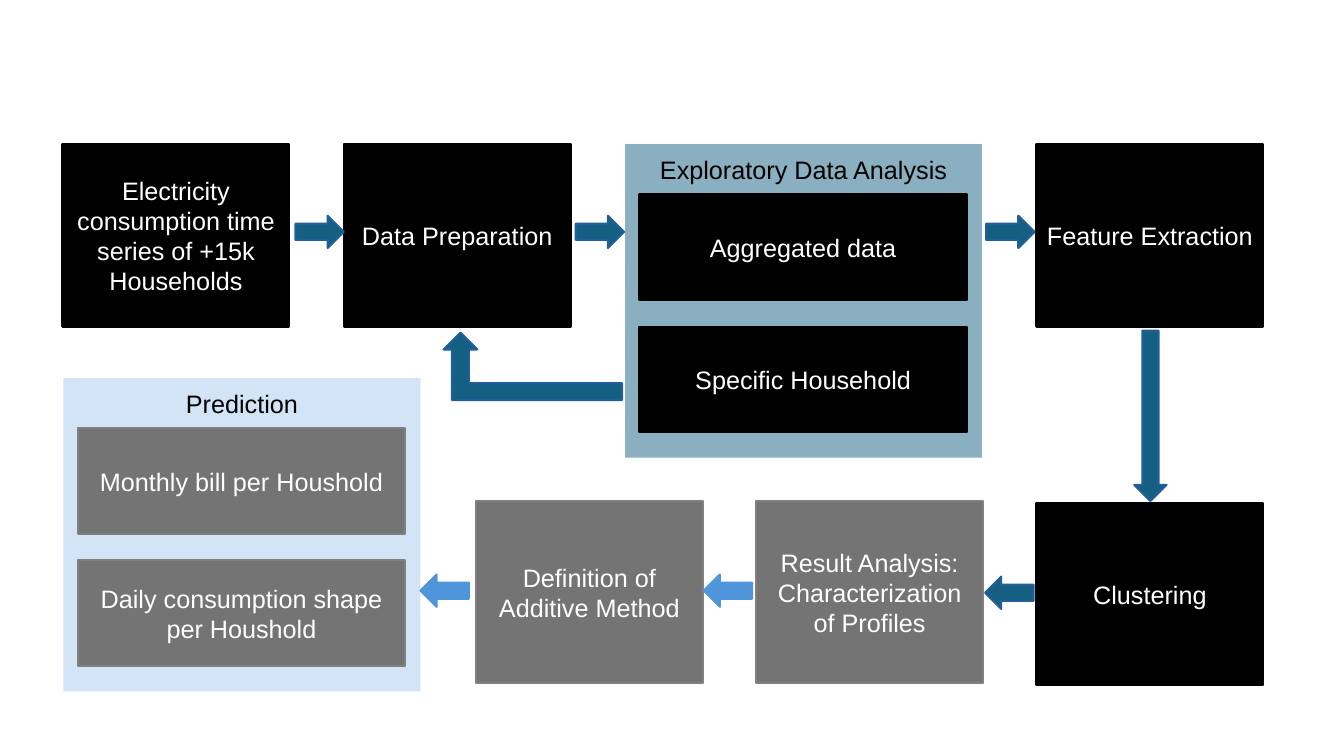
from lxml import etree
from pptx import Presentation
from pptx.dml.color import RGBColor
from pptx.enum import shapes, text
from pptx.oxml import ns
from pptx.util import Inches, Pt

BLACK = RGBColor(0x00, 0x00, 0x00)
WHITE = RGBColor(0xFF, 0xFF, 0xFF)
GRAY = RGBColor(0x74, 0x74, 0x74)
GRAY_EDGE = RGBColor(0x80, 0x80, 0x80)
TEAL = RGBColor(0x15, 0x60, 0x82)
TEAL_EDGE = RGBColor(0x21, 0x5F, 0x9A)
BLUE = RGBColor(0x4E, 0x95, 0xD9)
PALE_BLUE = RGBColor(0xA6, 0xCA, 0xEC)

# Fill and edge colours of each state
DONE = (BLACK, BLACK)
PLANNED = (GRAY, GRAY_EDGE)
DONE_ARROW = (TEAL, TEAL_EDGE)
PLANNED_ARROW = (BLUE, BLUE)

STEP_SIZE = (2.25, 1.81)
ARROW_SIZE = (0.48, 0.32)
PANEL_SIZE = (3.54, 3.11)
ITEM_SIZE = (3.25, 1.05)
ITEM_PITCH = 1.31

Preset = shapes.MSO_SHAPE


def write_text(shape, words, color):
    frame = shape.text_frame
    frame.word_wrap = True
    frame.text = words
    for paragraph in frame.paragraphs:
        paragraph.alignment = text.PP_ALIGN.CENTER
        for run in paragraph.runs:
            run.font.name = "Arial"
            run.font.size = Pt(18)
            run.font.color.rgb = color


def add_filled(slide, preset, left, top, size, fill, edge=None):
    shape = slide.shapes.add_shape(
        preset, *(Inches(value) for value in (left, top, *size)))
    shape.shadow.inherit = False
    shape.fill.solid()
    shape.fill.fore_color.rgb = fill
    if edge is None:
        shape.line.fill.background()
    else:
        shape.line.color.rgb = edge
        shape.line.width = Pt(1.5)
    return shape


def add_box(slide, left, top, size, words, state):
    box = add_filled(slide, Preset.RECTANGLE, left, top, size, *state)
    box.text_frame.vertical_anchor = text.MSO_ANCHOR.MIDDLE
    write_text(box, words, WHITE)


def add_panel(slide, left, top, color, title, items, state):
    """Half-transparent panel with a title and stacked boxes."""
    panel = add_filled(slide, Preset.RECTANGLE, left, top, PANEL_SIZE, color)
    color_element = panel._element.spPr.find(
        ns.qn("a:solidFill")).find(ns.qn("a:srgbClr"))
    etree.SubElement(color_element, ns.qn("a:alpha"), val="50000")

    heading = slide.shapes.add_textbox(
        Inches(left + 0.08), Inches(top + 0.05), Inches(3.38), Inches(0.4))
    write_text(heading, title, BLACK)
    for index, words in enumerate(items):
        add_box(slide, left + 0.14, top + 0.5 + index * ITEM_PITCH,
                ITEM_SIZE, words, state)


def add_feedback_arrow(slide):
    arrow = add_filled(slide, Preset.BENT_UP_ARROW, 4.4, 3.3, (1.77, 0.67),
                       *DONE_ARROW)
    arrow._element.spPr.find(ns.qn("a:xfrm")).set("flipH", "1")


def main():
    presentation = Presentation()
    presentation.slide_width = Inches(13.33)
    presentation.slide_height = Inches(7.5)
    slide = presentation.slides.add_slide(presentation.slide_layouts[6])

    # Panels
    add_panel(slide, 6.2, 1.43, TEAL, "Exploratory Data Analysis",
              ["Aggregated data", "Specific Household"], DONE)
    add_panel(slide, 0.63, 3.75, PALE_BLUE, "Prediction",
              ["Monthly bill per Houshold",
               "Daily consumption shape per Houshold"], PLANNED)

    # Process steps
    for left, top, words, state in [
        (0.62, 1.43,
         "Electricity consumption time series of +15k Households", DONE),
        (3.41, 1.43, "Data Preparation", DONE),
        (10.28, 1.43, "Feature Extraction", DONE),
        (10.28, 4.99, "Clustering", DONE),
        (7.5, 4.97,
         "Result Analysis:\nCharacterization of Profiles", PLANNED),
        (4.72, 4.97, "Definition of Additive Method", PLANNED),
    ]:
        add_box(slide, left, top, STEP_SIZE, words, state)

    # Arrows: top row, down to clustering, bottom row, feedback
    for left in (2.93, 5.71, 9.78):
        add_filled(slide, Preset.RIGHT_ARROW, left, 2.14, ARROW_SIZE,
                   *DONE_ARROW)
    add_filled(slide, Preset.DOWN_ARROW, 11.25, 3.28, (0.32, 1.69),
               *DONE_ARROW)
    for left, top, state in [(9.77, 5.72, DONE_ARROW),
                             (6.98, 5.7, PLANNED_ARROW),
                             (4.17, 5.7, PLANNED_ARROW)]:
        add_filled(slide, Preset.LEFT_ARROW, left, top, ARROW_SIZE, *state)
    add_feedback_arrow(slide)

    presentation.save("out.pptx")


if __name__ == "__main__":
    main()
